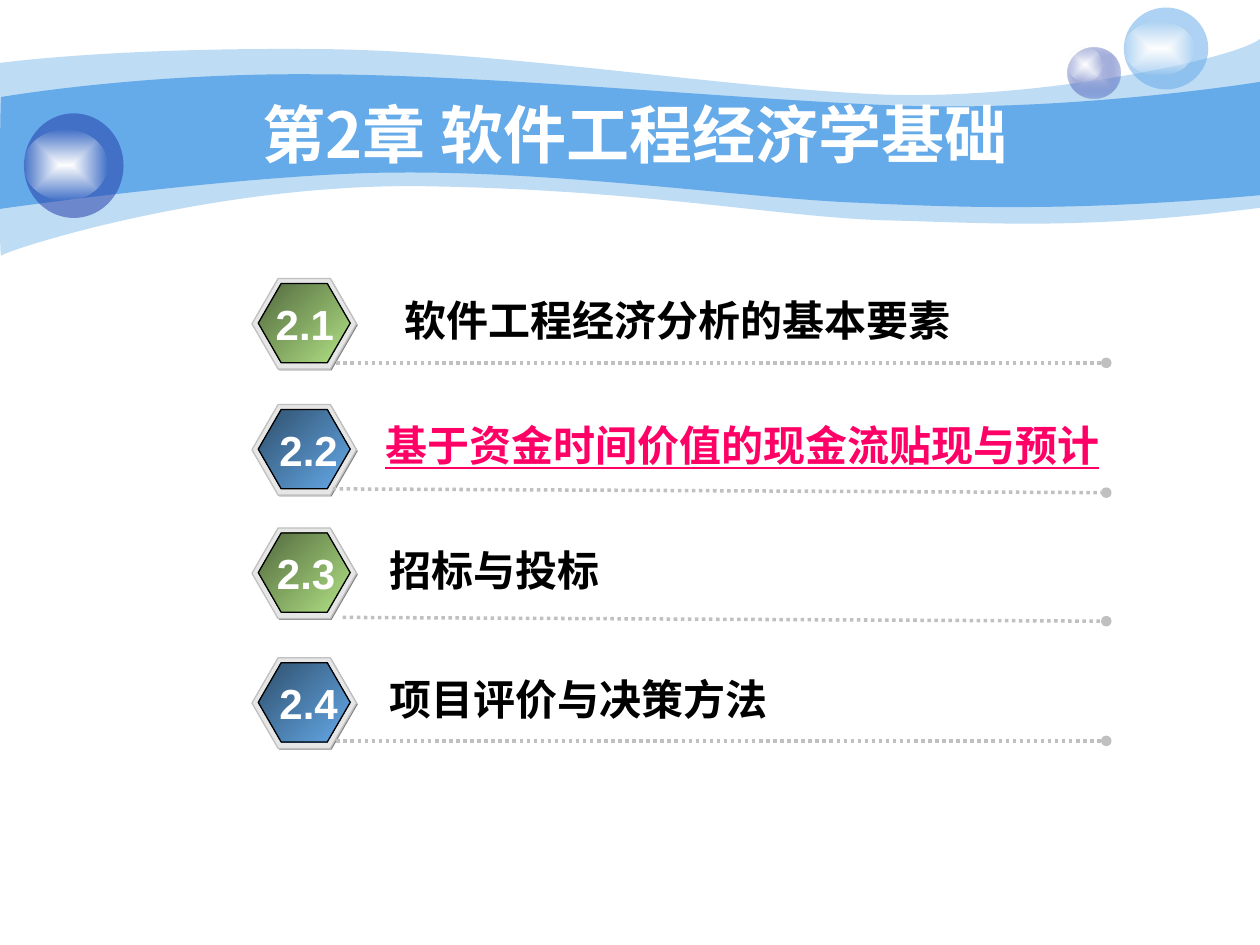
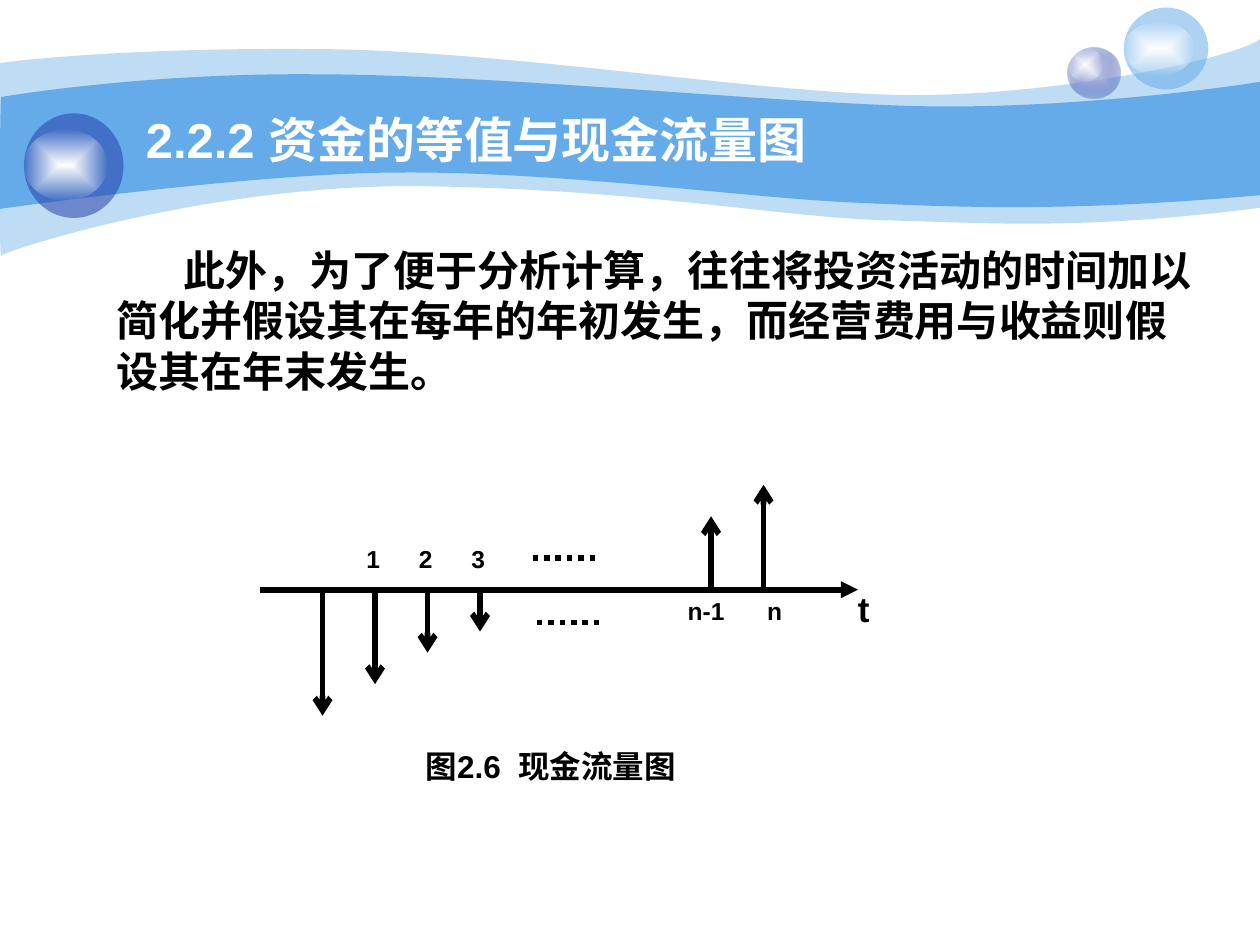
from dataclasses import dataclass

from lxml import etree
from pptx import Presentation
from pptx.dml.color import RGBColor
from pptx.enum.dml import MSO_LINE
from pptx.enum.shapes import MSO_CONNECTOR, MSO_SHAPE as Preset
from pptx.enum.text import MSO_ANCHOR as Anchor, PP_ALIGN as Align
from pptx.oxml.ns import qn
from pptx.util import Inches, Pt

LATIN, CHINESE = "Arial", "Noto Sans CJK SC"
WHITE, BLACK, PINK = "FFFFFF", "000000", "FF0066"
SKY, NAVY, SILVER = "65AAE9", "233DA9", "C0C0C0"
GREENS, BLUES = ("52693E", "B2E385"), ("2F4F6C", SKY)
LINE_HEIGHT = 1.2

# Each wave is a start point, then curves (six numbers) and straight edges (two).
PALE_WAVE = [
    (0, 0.5), (0.24, 0.47, 1.07, 0.38, 2.47, 0.39), (3.86, 0.39, 5.75, 0.7, 6.99, 0.75),
    (8.22, 0.8, 9.8, 0.47, 10, 0.31), (10, 1.65), (8.58, 1.83, 7.87, 1.77, 7.05, 1.75),
    (6.22, 1.73, 5.15, 1.51, 3.43, 1.48), (1.72, 1.44, 0.04, 1.99, 0.01, 2.03),
    (-0.01, 2.08, 0, 0.75, 0, 0.5),
]
STRONG_WAVE = [
    (0.01, 0.77), (0.02, 0.77, 1.1, 0.58, 2.48, 0.59), (3.86, 0.59, 5.95, 0.8, 7.18, 0.84),
    (8.41, 0.88, 9.76, 0.69, 10, 0.65), (10, 1.55), (8.53, 1.68, 7.65, 1.65, 6.82, 1.61),
    (5.99, 1.58, 4.47, 1.36, 3.17, 1.37), (2.03, 1.37, -0.02, 1.66, -0.01, 1.66),
    (0, 1.66, 0, 0.77, 0.01, 0.77),
]


@dataclass
class Grid:
    """Columns and rows counted from an origin, all sized in inches."""
    left: float = 0
    top: float = 0
    column: float = 1
    row: float = 1

    def point(self, column, row):
        return Inches(self.left + column * self.column), Inches(self.top + row * self.row)

    def box(self, column, row, width, height):
        return (*self.point(column, row), Inches(width), Inches(height))


PAGE = Grid()


def rgb(color):
    return RGBColor.from_string(color)


def add_element(parent, tag, **attributes):
    return etree.SubElement(parent, qn(tag), attributes)


def fill_solid(shape, color, opacity=100):
    shape.shadow.inherit = False
    shape.line.fill.background()
    shape.fill.solid()
    shape.fill.fore_color.rgb = rgb(color)
    if opacity < 100:
        tone = shape.fill._xPr.find(qn("a:solidFill"))[0]
        add_element(tone, "a:alpha", val=str(opacity * 1000))


def fill_gradient(shape, inner, outer, opacity=100, angle=None):
    """Blend two colours along an angle, or from the middle when there is none."""
    shape.shadow.inherit = False
    shape.line.fill.background()
    shape.fill.background()
    properties = shape._element.spPr
    gradient = etree.Element(qn("a:gradFill"), rotWithShape="1")
    stops = add_element(gradient, "a:gsLst")
    for position, color, alpha in ((0, inner, 100), (100, outer, opacity)):
        stop = add_element(stops, "a:gs", pos=str(position * 1000))
        tone = add_element(stop, "a:srgbClr", val=color)
        if alpha < 100:
            add_element(tone, "a:alpha", val=str(alpha * 1000))
    if angle is None:
        center = add_element(gradient, "a:path", path="rect")
        add_element(center, "a:fillToRect", l="50000", t="50000", r="50000", b="50000")
    else:
        add_element(gradient, "a:lin", ang=str(angle * 60000), scaled="1")
    properties.replace(properties.find(qn("a:noFill")), gradient)


def outline(shape, color, width=0.75):
    shape.line.color.rgb = rgb(color)
    shape.line.width = Pt(width)


def add_text(slide, box, text, size, color=BLACK, font=LATIN, align=Align.LEFT,
             wrap=True, underline=None, indent=0, middle=False):
    frame = slide.shapes.add_textbox(*box).text_frame
    frame.word_wrap = wrap
    paragraph = frame.paragraphs[0]
    paragraph.alignment = align
    if middle:
        frame.vertical_anchor = Anchor.MIDDLE
    else:
        paragraph.line_spacing = Pt(size * LINE_HEIGHT)
    if indent:
        paragraph._p.get_or_add_pPr().set("indent", str(Inches(indent)))
    run = paragraph.add_run()
    run.text = text
    run.font.name, run.font.size, run.font.bold = font, Pt(size), True
    run.font.underline = underline
    run.font.color.rgb = rgb(color)
    add_element(run._r.get_or_add_rPr(), "a:ea", typeface=CHINESE)


def add_line(slide, start, end, color, width, dotted=False, tail=None):
    line = slide.shapes.add_connector(MSO_CONNECTOR.STRAIGHT, *start, *end)
    outline(line, color, width)
    if dotted:
        line.line.dash_style = MSO_LINE.ROUND_DOT
    if tail:
        add_element(line.line._get_or_add_ln(), "a:tailEnd", type=tail)
    add_element(line._element.spPr, "a:effectLst")


def add_wave(slide, segments, opacity=100):
    """Lay every point as a straight edge, then join each three into a curve."""
    start, *rest = segments
    builder = slide.shapes.build_freeform(*PAGE.point(*start))
    builder.add_line_segments([PAGE.point(*segment[i:i + 2]) for segment in rest
                               for i in range(0, len(segment), 2)], close=True)
    wave = builder.convert_to_shape()
    edges = iter(list(wave._element.iter(qn("a:lnTo"))))
    for segment in rest:
        edge = next(edges)
        if len(segment) == 6:
            curve = etree.Element(qn("a:cubicBezTo"))
            edge.addprevious(curve)
            for part in (edge, next(edges), next(edges)):
                curve.append(part[0])
                part.getparent().remove(part)
    fill_solid(wave, SKY, opacity)


def add_bubble(slide, grid, size, shine_top, shine_size, color, opacity, inner=None):
    bubble = slide.shapes.add_group_shape()
    ball = bubble.shapes.add_shape(Preset.OVAL, *grid.box(0, 0, *size))
    if inner:
        fill_gradient(ball, inner, color, opacity)
    else:
        fill_solid(ball, color, opacity)
    shine = bubble.shapes.add_shape(Preset.OVAL, *grid.box(0, shine_top, *shine_size))
    fill_gradient(shine, WHITE, WHITE, 0)


def decorate_layout(layout, slide):
    """Draw the waves and bubbles on an empty slide, then move them to its layout."""
    for placeholder in list(layout.placeholders):
        layout.shapes._spTree.remove(placeholder._element)
    add_wave(slide, PALE_WAVE, 41)
    add_wave(slide, STRONG_WAVE)
    add_bubble(slide, Grid(8.47, 0.38), (0.42, 0.4), 0, (0.28, 0.27), NAVY, 31, "C7CEE9")
    add_bubble(slide, Grid(8.92, 0.06), (0.67, 0.65), 0.11, (0.56, 0.43), SKY, 53)
    add_bubble(slide, Grid(0.19, 0.9), (0.79, 0.83), 0.13, (0.66, 0.56), NAVY, 53)
    for shape in list(slide.shapes):
        layout.shapes._spTree.append(shape._element)


def add_title(slide, box, text, size, font=LATIN, align=Align.LEFT):
    add_text(slide, box, text, size, WHITE, font, align, middle=True)


def add_badge(slide, grid, number, tones, number_left):
    badge = slide.shapes.add_group_shape()

    def hexagon(column, row, width, height):
        shape = badge.shapes.add_shape(Preset.HEXAGON, *grid.box(column, row, width, height))
        shape.adjustments[0] = 0.289
        return shape

    fill_solid(hexagon(0.01, 0.01, 0.83, 0.72), "808080")
    rim = hexagon(0, 0, 0.83, 0.72)
    fill_solid(rim, "E6E6E6")
    outline(rim, SILVER)
    face = hexagon(0.05, 0.04, 0.73, 0.63)
    fill_gradient(face, *tones, angle=45)
    outline(face, BLACK)
    add_text(slide, grid.box(number_left, 0.11, 0.66, 0.5), number, 24, WHITE,
             align=Align.CENTER, wrap=False)


def add_section(slide, grid, number, label, tones, number_left, label_left, rule, current):
    add_badge(slide, grid, number, tones, number_left)
    start, start_row, end_row = rule
    add_line(slide, grid.point(start, start_row), grid.point(6.78, end_row),
             SILVER, 2, dotted=True, tail="oval")
    add_text(slide, grid.box(label_left, 0.07 if current else 0.08, 6.2, 0.5), label, 24,
             PINK if current else BLACK, CHINESE, underline=current or None)


def build_contents(slide):
    add_title(slide, PAGE.box(1, 0.75, 8.08, 0.62), "第2章 软件工程经济学基础", 36,
              CHINESE, Align.CENTER)
    sections = [
        # top, label, number left, label left, rule (left, start row, end row)
        (2.21, "软件工程经济分析的基本要素", 0.09, 1.11, (0.67, 0.67, 0.67)),
        (3.21, "基于资金时间价值的现金流贴现与预计", 0.12, 0.96, (0.64, 0.67, 0.7)),
        (4.19, "招标与投标", 0.1, 0.99, (0.72, 0.71, 0.74)),
        (5.22, "项目评价与决策方法", 0.12, 0.99, (0.67, 0.66, 0.66)),
    ]
    for index, (top, label, number_left, label_left, rule) in enumerate(sections, 1):
        add_section(slide, Grid(2, top), f"2.{index}", label, GREENS if index % 2 else BLUES,
                    number_left, label_left, rule, current=index == 2)


def add_cash_flow(slide, grid):
    """Draw the time axis on row 0, with one column for each year."""
    def stroke(start, end, **style):
        add_line(slide, grid.point(*start), grid.point(*end), BLACK, 3.25, **style)

    def label(column, row, width, text, size=14):
        add_text(slide, grid.box(column, row, width, 0.34), text, size, wrap=False)

    stroke((-1.2, 0), (10.2, 0), tail="triangle")
    flows = {0: 4, 1: 3, 2: 2, 3: 1.33, 7.4: -2.33, 8.4: -3.33}
    for year, amount in flows.items():
        stroke((year, 0), (year, amount), tail="arrow")
    for column, row in ((4, -1), (4.08, 1.04)):
        stroke((column, row), (column + 1.2, row), dotted=True)
    for year in (1, 2, 3):
        label(year - 0.4, -1.65, 0.31, str(year))
    label(6.72, 0, 0.49, "n-1")
    label(8.23, 0, 0.32, "n")
    label(9.96, -0.28, 0.29, "t", 20)


def build_cash_flow(slide):
    add_title(slide, PAGE.box(1.06, 0.76, 6.84, 0.69), "2.2.2 资金的等值与现金流量图", 28)
    add_text(slide, PAGE.box(0.83, 1.89, 8.75, 1.3),
             "此外，为了便于分析计算，往往将投资活动的时间加以简化并假设其在每年的年初发生，"
             "而经营费用与收益则假设其在年末发生。", 24, font=CHINESE, indent=0.53)
    add_cash_flow(slide, Grid(2.56, 4.68, 5 / 12, 0.25))
    add_text(slide, PAGE.box(3.28, 5.88, 2.36, 0.4), "图2.6  现金流量图", 18, wrap=False)


def main():
    presentation = Presentation()
    presentation.slide_width, presentation.slide_height = Inches(10), Inches(7.5)
    blank = presentation.slide_layouts[6]
    contents, cash_flow = [presentation.slides.add_slide(blank) for _ in range(2)]
    decorate_layout(blank, contents)
    build_contents(contents)
    build_cash_flow(cash_flow)
    presentation.save("out.pptx")


if __name__ == "__main__":
    main()
